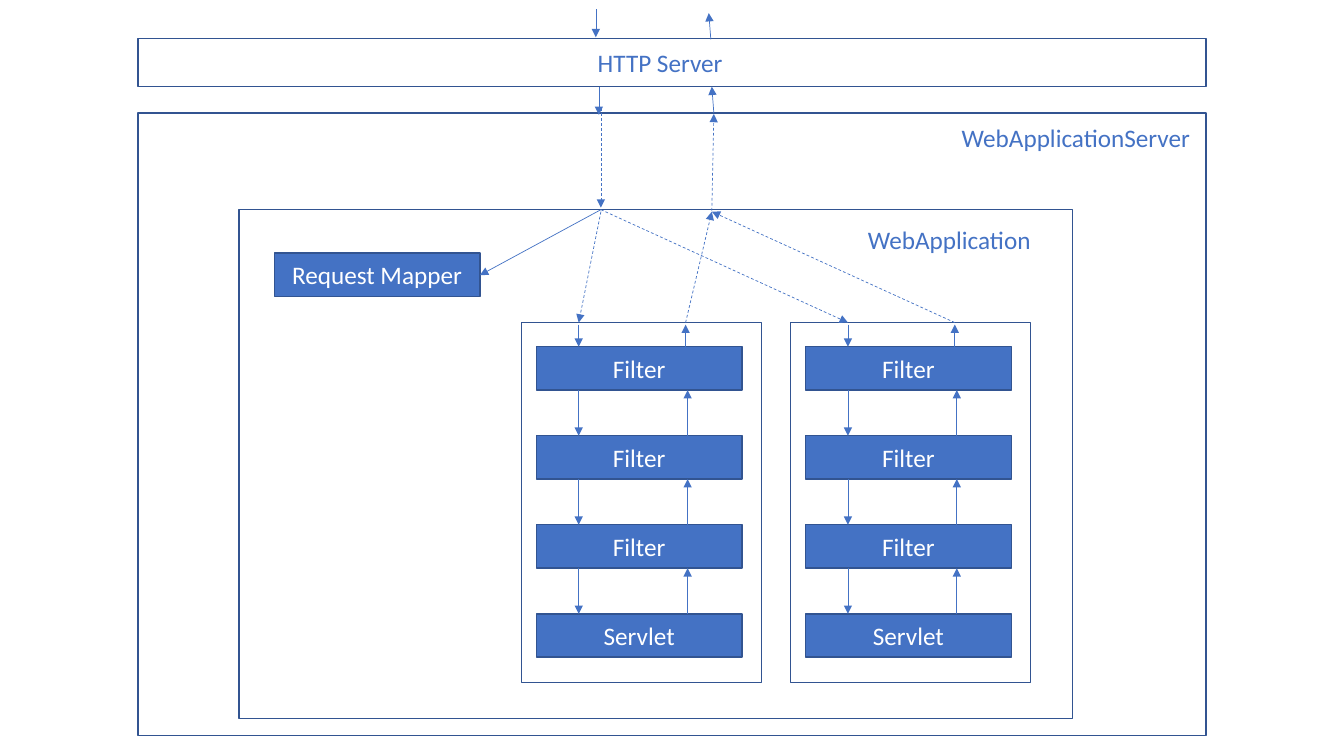
from dataclasses import dataclass
from itertools import pairwise

from lxml import etree
from pptx import Presentation
from pptx.dml.color import RGBColor
from pptx.enum.dml import MSO_LINE
from pptx.enum.shapes import MSO_CONNECTOR, MSO_SHAPE
from pptx.enum.text import MSO_ANCHOR, PP_ALIGN
from pptx.oxml.ns import qn
from pptx.util import Inches, Pt


@dataclass(frozen=True)
class Theme:
    """Colours, font and sizes shared by the diagram."""
    blue: RGBColor = RGBColor(0x44, 0x72, 0xC4)
    outline: RGBColor = RGBColor(0x32, 0x54, 0x91)
    white: RGBColor = RGBColor(0xFF, 0xFF, 0xFF)
    font: str = "Calibri"
    text_size: Pt = Pt(18)
    box_line: Pt = Pt(1)
    arrow_line: Pt = Pt(0.5)


THEME = Theme()
BLOCK_WIDTH, BLOCK_HEIGHT = 2.04, 0.43
CHAIN_TOP = 3.2
FIRST_BLOCK, LAST_BLOCK = 3.44, 6.09
CHAIN_BLOCKS = ["Filter", "Filter", "Filter", "Servlet"]


def write(shape, text, color):
    """Put one styled run into a shape and return its paragraph."""
    paragraph = shape.text_frame.paragraphs[0]
    run = paragraph.add_run()
    run.text = text
    run.font.name = THEME.font
    run.font.size = THEME.text_size
    run.font.color.rgb = color
    return paragraph


def add_frame(slide, left, top, width, height):
    """Draw an outlined, unfilled rectangle."""
    frame = slide.shapes.add_shape(
        MSO_SHAPE.RECTANGLE, *map(Inches, (left, top, width, height)))
    frame.shadow.inherit = False
    frame.fill.background()
    frame.line.color.rgb = THEME.outline
    frame.line.width = THEME.box_line
    return frame


def add_block(slide, left, top, text):
    """Draw a filled component block with a centred name."""
    block = add_frame(slide, left, top, BLOCK_WIDTH, BLOCK_HEIGHT)
    block.fill.solid()
    block.fill.fore_color.rgb = THEME.blue
    block.text_frame.vertical_anchor = MSO_ANCHOR.MIDDLE
    write(block, text, THEME.white).alignment = PP_ALIGN.CENTER


def add_label(slide, left, top, width, text):
    """Add the blue name of a container."""
    label = slide.shapes.add_textbox(*map(Inches, (left, top, width, 0.4)))
    label.text_frame.word_wrap = True
    write(label, text, THEME.blue)


def add_arrow(slide, start, end, dashed=False):
    """Draw a thin arrow from start to end."""
    arrow = slide.shapes.add_connector(
        MSO_CONNECTOR.STRAIGHT, *map(Inches, (*start, *end)))
    arrow.line.color.rgb = THEME.blue
    arrow.line.width = THEME.arrow_line
    if dashed:
        arrow.line.dash_style = MSO_LINE.DASH
    properties = arrow._element.spPr
    etree.SubElement(properties.find(qn("a:ln")), qn("a:tailEnd"), type="triangle")
    etree.SubElement(properties, qn("a:effectLst"))


def add_filter_chain(slide, left):
    """Draw a framed chain of filters that ends in a servlet."""
    pitch = (LAST_BLOCK - FIRST_BLOCK) / (len(CHAIN_BLOCKS) - 1)
    tops = [FIRST_BLOCK + i * pitch for i in range(len(CHAIN_BLOCKS))]
    request_x, response_x = left + 0.57, left + 1.65
    exit_x = left + 1.63

    for top, name in zip(tops, CHAIN_BLOCKS):
        add_block(slide, left + 0.15, top, name)
    for upper, lower in pairwise(tops):
        bottom = upper + BLOCK_HEIGHT
        add_arrow(slide, (request_x, bottom), (request_x, lower))
        add_arrow(slide, (response_x, lower), (response_x, bottom))
    add_arrow(slide, (request_x, CHAIN_TOP + 0.02), (request_x, FIRST_BLOCK))
    add_arrow(slide, (exit_x, FIRST_BLOCK), (exit_x, CHAIN_TOP + 0.02))
    add_frame(slide, left, CHAIN_TOP, 2.38, 3.57)


def add_containers(slide):
    """Draw the nested server frames and their names."""
    add_frame(slide, 1.37, 0.38, 10.59, 0.48)
    add_frame(slide, 1.37, 1.12, 10.59, 6.18)
    add_frame(slide, 2.37, 2.08, 8.27, 5.05)
    add_label(slide, 5.83, 0.42, 2.55, "HTTP Server")
    add_label(slide, 9.44, 1.16, 2.55, "WebApplicationServer")
    add_label(slide, 8.51, 2.18, 1.85, "WebApplication")


def add_routes(slide):
    """Connect the outside, the servers, the mapper and the chains."""
    solid_routes = [
        ((5.91, 0.09), (5.91, 0.37)),
        ((5.94, 0.86), (5.94, 1.14)),
        ((5.96, 2.08), (4.76, 2.73)),
        ((7.08, 1.12), (7.06, 0.86)),
        ((7.05, 0.39), (7.03, 0.13)),
    ]
    dashed_routes = [
        ((5.96, 1.07), (5.96, 2.06)),
        ((5.96, 2.1), (5.74, CHAIN_TOP)),
        ((5.96, 2.08), (8.41, CHAIN_TOP)),
        ((6.8, CHAIN_TOP), (7.06, 2.1)),
        ((9.47, CHAIN_TOP), (7.06, 2.1)),
        ((7.06, 2.09), (7.08, 1.13)),
    ]
    for start, end in solid_routes:
        add_arrow(slide, start, end)
    for start, end in dashed_routes:
        add_arrow(slide, start, end, dashed=True)


def main():
    """Build the request flow slide and save it."""
    presentation = Presentation()
    presentation.slide_width = Inches(13.33)
    presentation.slide_height = Inches(7.5)
    slide = presentation.slides.add_slide(presentation.slide_layouts[6])

    for chain_left in (5.17, 7.84):
        add_filter_chain(slide, chain_left)
    add_block(slide, 2.72, 2.51, "Request Mapper")
    add_containers(slide)
    add_routes(slide)
    presentation.save("out.pptx")


main()
